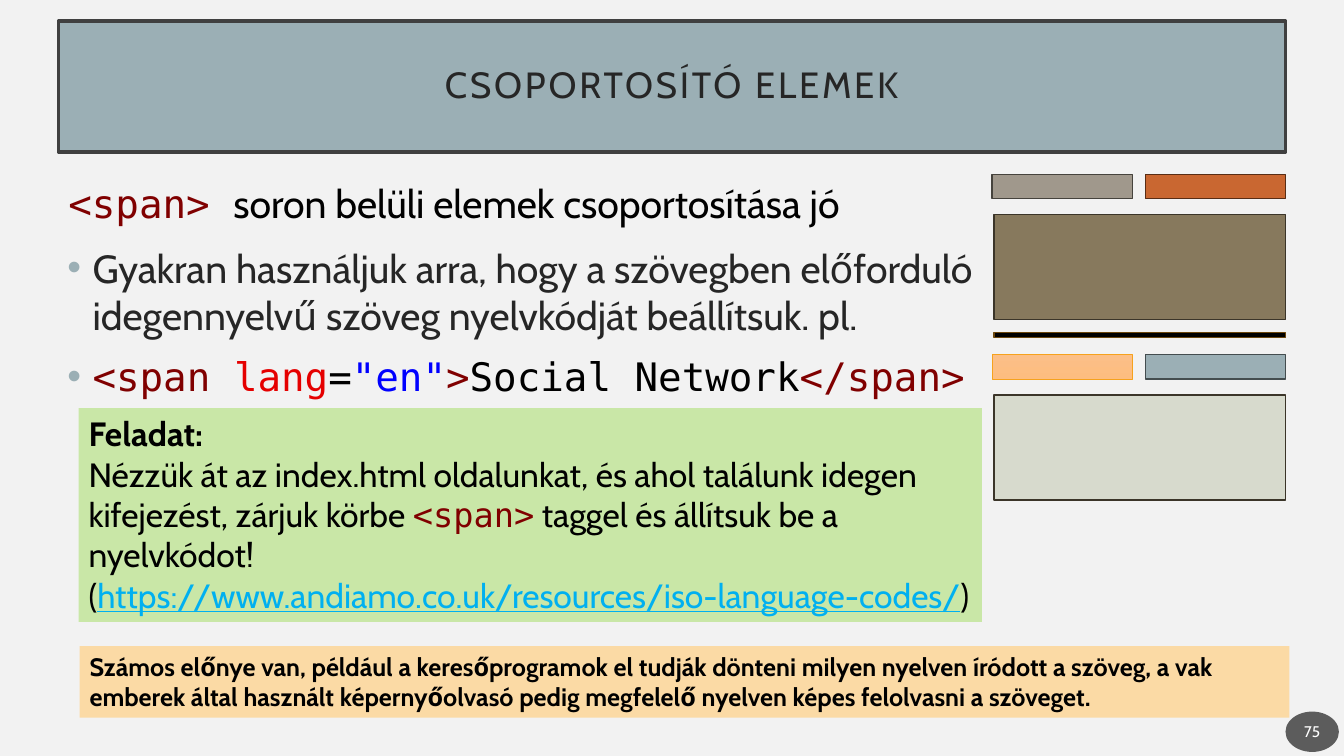
from typing import NamedTuple

from lxml.etree import SubElement
from pptx import Presentation
from pptx.dml.color import RGBColor
from pptx.enum.shapes import MSO_SHAPE as Shape
from pptx.enum.text import MSO_ANCHOR as Anchor, PP_ALIGN as Align
from pptx.oxml.ns import qn
from pptx.util import Emu, Pt

EMU_PER_PX = 9144
SANS = "Cabin"
MONO = "DejaVu Sans Mono"

BLACK = RGBColor(0x00, 0x00, 0x00)
WHITE = RGBColor(0xFF, 0xFF, 0xFF)
PAPER = RGBColor(0xF2, 0xF2, 0xF2)
INK = RGBColor(0x26, 0x26, 0x26)
FRAME = RGBColor(0x40, 0x40, 0x40)
BADGE = RGBColor(0x1D, 0x1D, 0x1D)
SLATE = RGBColor(0x9B, 0xAF, 0xB5)
SLATE_EDGE = RGBColor(0x44, 0x4D, 0x4F)
TAUPE = RGBColor(0xA0, 0x98, 0x8C)
TAUPE_EDGE = RGBColor(0x46, 0x43, 0x3D)
RUST = RGBColor(0xC9, 0x67, 0x31)
RUST_EDGE = RGBColor(0x58, 0x2D, 0x15)
OLIVE = RGBColor(0x87, 0x79, 0x5D)
STONE = RGBColor(0xD7, 0xDA, 0xCD)
BLOCK_EDGE = RGBColor(0x3B, 0x35, 0x29)
DIVIDER_EDGE = RGBColor(0x6C, 0x47, 0x0D)
PEACH = RGBColor(0xFC, 0xBF, 0x87)
PEACH_DEEP = RGBColor(0xFD, 0xBD, 0x80)
PEACH_EDGE = RGBColor(0xF6, 0xA2, 0x1D)
TASK_GREEN = RGBColor(0xC9, 0xE7, 0xA7)
NOTE_ORANGE = RGBColor(0xFB, 0xDA, 0xA5)
TAG = RGBColor(0x80, 0x00, 0x00)
ATTRIBUTE = RGBColor(0xE5, 0x00, 0x00)
VALUE = RGBColor(0x00, 0x00, 0xFF)
LINK = RGBColor(0x00, 0xB0, 0xF0)


def px(length):
    return Emu(length * EMU_PER_PX)


class Piece(NamedTuple):
    text: str
    color: RGBColor = BLACK
    font: str = SANS
    bold: bool = False
    underline: bool = False


class SlideBuilder:
    def __init__(self, presentation):
        self.slide = presentation.slides.add_slide(presentation.slide_layouts[5])
        fill = self.slide.background.fill
        fill.solid()
        fill.fore_color.rgb = PAPER

    def paint(self, shape, fill, edge=None, width=1):
        if isinstance(fill, tuple) and not isinstance(fill, RGBColor):
            shape.fill.gradient()
            shape.fill.gradient_angle = 270
            for stop, color in zip(shape.fill.gradient_stops, fill):
                stop.color.rgb = color
        else:
            shape.fill.solid()
            shape.fill.fore_color.rgb = fill
        if edge is None:
            shape.line.fill.background()
        else:
            shape.line.color.rgb = edge
            shape.line.width = Pt(width)

    def shape(self, box, fill, edge=None, width=1, kind=Shape.RECTANGLE):
        shape = self.slide.shapes.add_shape(kind, *map(px, box))
        shape.shadow.inherit = False
        self.paint(shape, fill, edge, width)
        return shape

    def set_text(self, shape, paragraphs, size, align=Align.LEFT, anchor=Anchor.TOP):
        frame = shape.text_frame
        frame.word_wrap = True
        frame.vertical_anchor = anchor
        for index, pieces in enumerate(paragraphs):
            paragraph = frame.add_paragraph() if index else frame.paragraphs[0]
            paragraph.alignment = align
            for piece in pieces:
                if piece.text == "\n":
                    paragraph.add_line_break()
                    continue
                run = paragraph.add_run()
                run.text = piece.text
                run.font.size = Pt(size)
                run.font.name = piece.font
                run.font.bold = piece.bold
                run.font.underline = piece.underline
                run.font.color.rgb = piece.color
        return frame

    def title(self, box, text):
        title = self.slide.shapes.title
        title.left, title.top, title.width, title.height = map(px, box)
        self.paint(title, SLATE, FRAME, 2.5)
        frame = self.set_text(title, [[Piece(text, INK)]], 26, Align.CENTER, Anchor.MIDDLE)
        frame.margin_left = frame.margin_right = px(20)
        frame.margin_top = frame.margin_bottom = px(20)
        paragraph = frame.paragraphs[0]
        paragraph.line_spacing = 0.9
        paragraph.runs[0]._r.get_or_add_rPr().set("spc", "200")

    def text(self, box, paragraphs, size):
        return self.set_text(self.slide.shapes.add_textbox(*map(px, box)), paragraphs, size)

    def bullets(self, box, paragraphs, size):
        frame = self.text(box, paragraphs, size)
        for index, paragraph in enumerate(frame.paragraphs):
            if index:
                paragraph.space_before = Pt(10)
            properties = paragraph._p.get_or_add_pPr()
            properties.set("marL", str(px(25)))
            properties.set("indent", str(px(-25)))
            color = SubElement(properties, qn("a:buClr"))
            SubElement(color, qn("a:srgbClr")).set("val", str(SLATE))
            SubElement(properties, qn("a:buFont")).set("typeface", "Arial")
            SubElement(properties, qn("a:buChar")).set("char", "•")

    def panel(self, box, fill, paragraphs, size):
        self.set_text(self.shape(box, fill), paragraphs, size)

    def page_number(self, box, text):
        badge = self.shape(box, BADGE, kind=Shape.OVAL)
        color = badge._element.spPr.find(qn("a:solidFill"))[0]
        SubElement(color, qn("a:alpha")).set("val", "70000")
        frame = self.set_text(badge, [[Piece(text, WHITE)]], 11, Align.CENTER, Anchor.MIDDLE)
        frame.margin_left = frame.margin_right = px(2)

    def swatches(self, top, left_style, right_style, block_fill):
        self.shape((984, top, 139, 24), *left_style)
        self.shape((1136, top, 139, 24), *right_style)
        self.shape((986, top + 40, 289, 104), block_fill, BLOCK_EDGE)


def main():
    presentation = Presentation()
    presentation.slide_width = px(1333)
    presentation.slide_height = px(750)
    builder = SlideBuilder(presentation)

    builder.title((58, 21, 1217, 130), "CSOPORTOSÍTÓ ELEMEK")
    builder.page_number((1275, 706, 53, 40), "75")
    builder.text((58, 173, 916, 57), [[
        Piece("<span> ", TAG, MONO),
        Piece("soron belüli elemek csoportosítása jó"),
    ]], 28)

    builder.swatches(173, (TAUPE, TAUPE_EDGE), (RUST, RUST_EDGE), OLIVE)
    builder.shape((986, 330, 289, 5), BLACK, DIVIDER_EDGE)
    builder.swatches(352, ((PEACH, PEACH_DEEP), PEACH_EDGE, 0.5), (SLATE, SLATE_EDGE), STONE)

    builder.bullets((57, 237, 927, 310), [
        [Piece("Gyakran használjuk arra, hogy a szövegben előforduló "
               "idegennyelvű szöveg nyelvkódját beállítsuk. pl.", INK)],
        [Piece("<span ", TAG, MONO), Piece("lang", ATTRIBUTE, MONO),
         Piece("=", BLACK, MONO), Piece('"en"', VALUE, MONO),
         Piece(">", TAG, MONO), Piece("Social Network", BLACK, MONO),
         Piece("</span>", TAG, MONO)],
    ], 28)

    builder.panel((78, 405, 896, 212), TASK_GREEN, [
        [Piece("Feladat:", bold=True)],
        [Piece("Nézzük át az index.html oldalunkat, és ahol találunk idegen "
               "kifejezést, zárjuk körbe "),
         Piece("<span>", TAG, MONO),
         Piece(" taggel és állítsuk be a nyelvkódot!"),
         Piece("\n"),
         Piece("("),
         Piece("https://www.andiamo.co.uk/resources/iso-language-codes/", LINK, underline=True),
         Piece(")")],
    ], 24)
    builder.panel((79, 641, 1200, 71), NOTE_ORANGE, [[
        Piece("Számos előnye van, például a keresőprogramok el tudják dönteni milyen "
              "nyelven íródott a szöveg, a vak emberek által használt képernyőolvasó "
              "pedig megfelelő nyelven képes felolvasni a szöveget.", bold=True),
    ]], 18)

    presentation.save("out.pptx")


if __name__ == "__main__":
    main()
